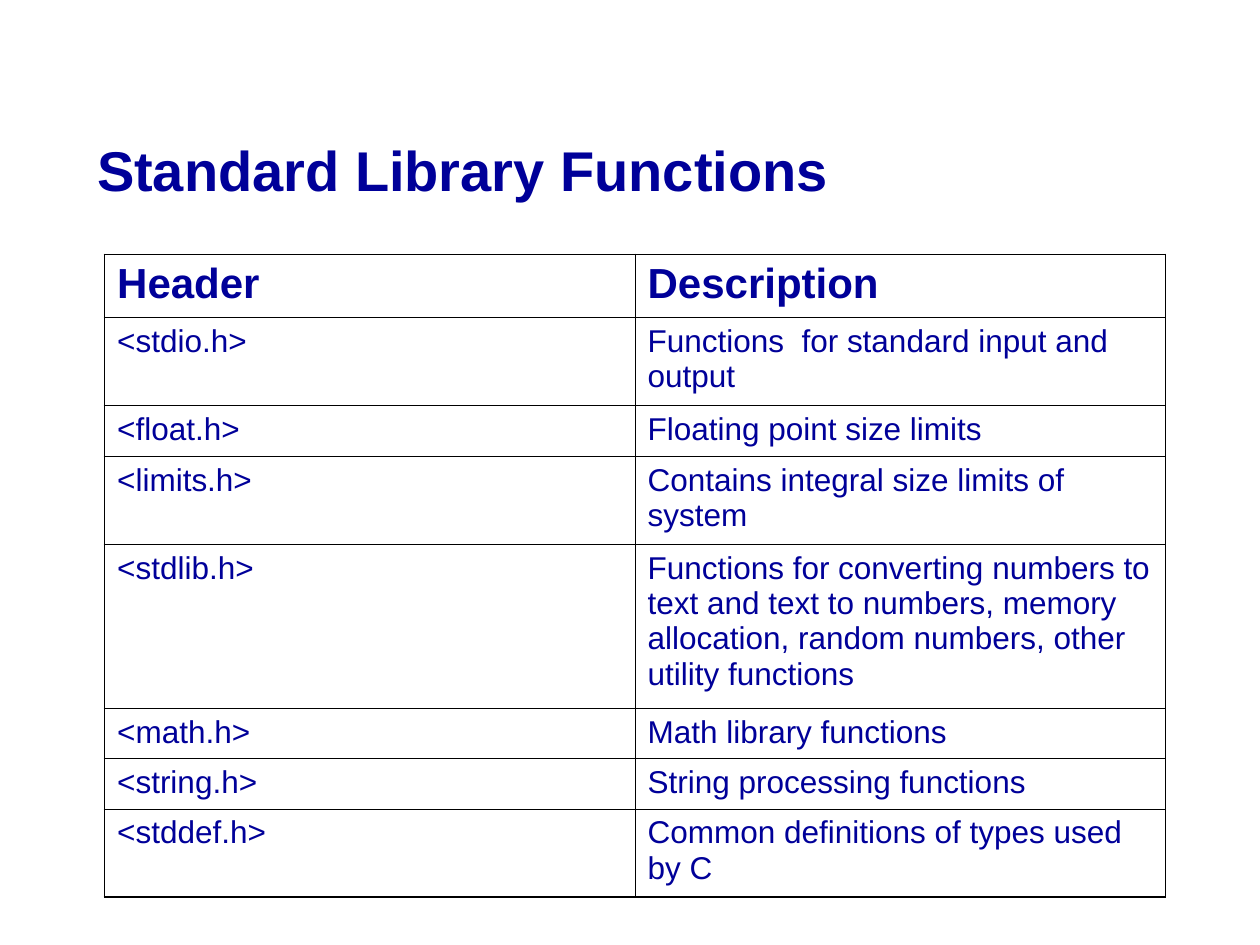
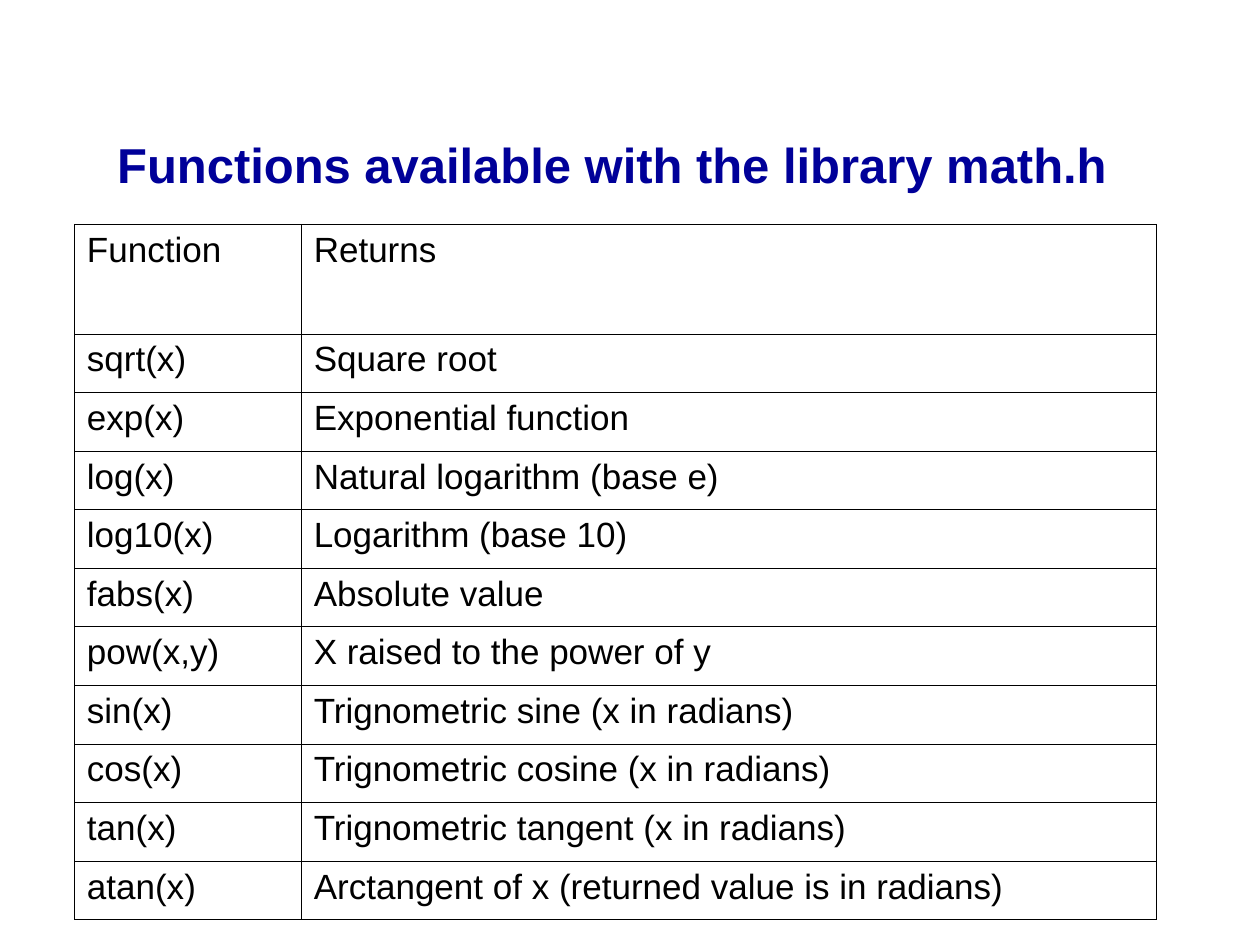
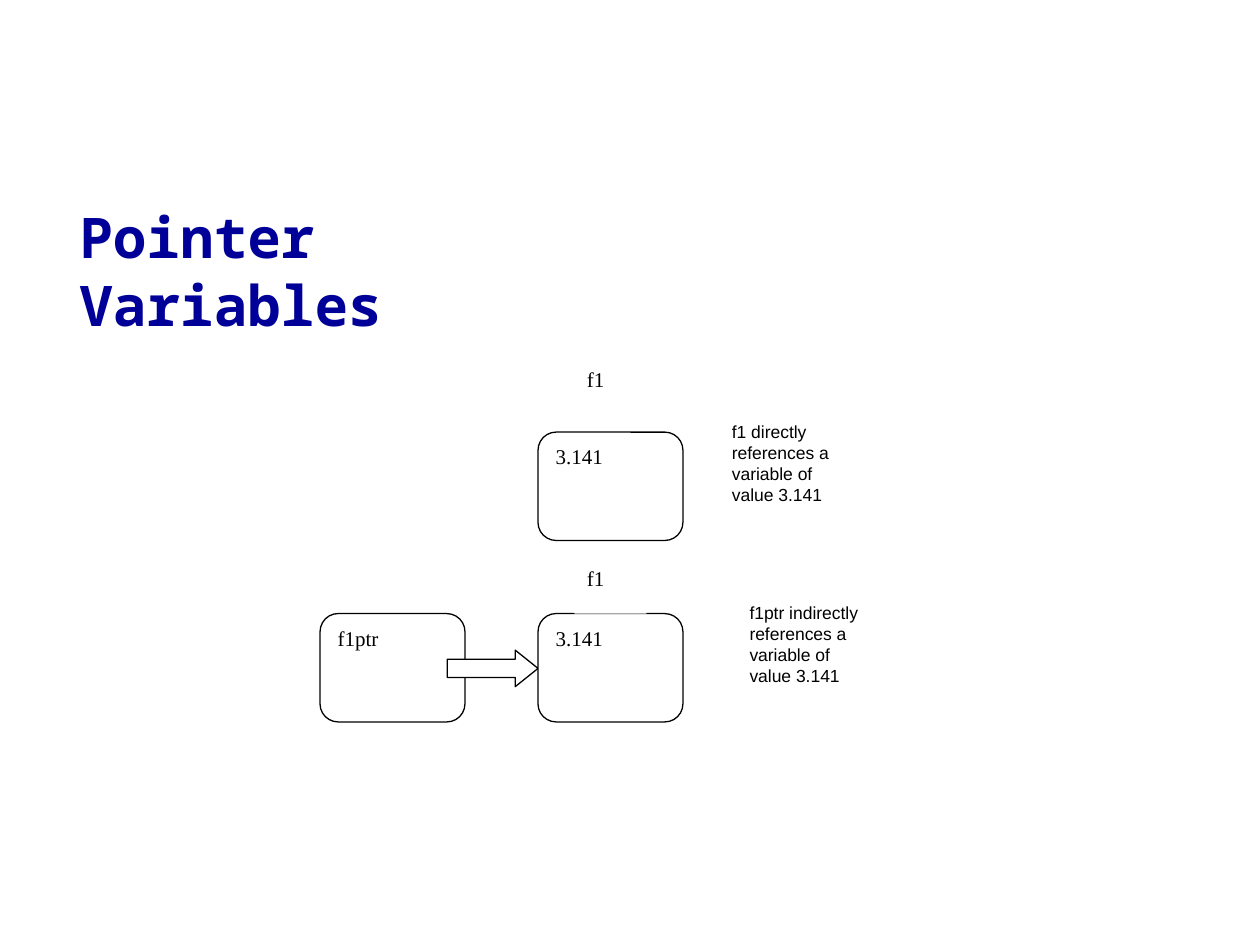
from lxml import etree
from pptx import Presentation
from pptx import util as u
from pptx.dml.color import RGBColor
from pptx.enum import shapes, text
from pptx.oxml.ns import qn

COLORS = {"navy": "000099", "ink": "000000", "paper": "FFFFFF"}
THIN, THICK = 0.45, 1.08


def write(frame, content, size=12, font="Arial", color="ink", bold=False, anchor="TOP"):
    frame.text = content
    frame.word_wrap = True
    frame.auto_size = text.MSO_AUTO_SIZE.NONE
    frame.vertical_anchor = text.MSO_ANCHOR[anchor]
    paragraph = frame.paragraphs[0]
    paragraph.alignment = text.PP_ALIGN.LEFT
    face = paragraph.runs[0].font
    face.size = u.Pt(size)
    face.name = font
    face.bold = bold
    face.color.rgb = RGBColor.from_string(COLORS[color])


def add_grid(slide, rows, place, widths, heights, outer, header, body):
    table = slide.shapes.add_table(len(rows), 2, *map(u.Inches, place)).table
    table.first_row = table.horz_banding = False
    for column, width in zip(table.columns, widths):
        column.width = u.Inches(width)
    for r, (entries, height) in enumerate(zip(rows, heights)):
        table.rows[r].height = u.Inches(height)
        for c, entry in enumerate(entries):
            cell = table.cell(r, c)
            write(cell.text_frame, entry, **(body if r else header))
            edges = {"lnL": c == 0, "lnR": c == 1, "lnT": r == 0, "lnB": r == len(rows) - 1}
            props = cell._tc.get_or_add_tcPr()
            for edge, is_outer in edges.items():
                width = outer if is_outer else THIN
                line = etree.SubElement(props, qn(f"a:{edge}"), w=str(u.Pt(width)))
                fill = etree.SubElement(line, qn("a:solidFill"))
                etree.SubElement(fill, qn("a:srgbClr"), val=COLORS["ink"])
            cell.fill.background()


prs = Presentation()
prs.slide_width, prs.slide_height = u.Inches(10), u.Inches(7.5)

titles = [
    ("Standard Library Functions", (0.67, 1.07, 8.5, 0.55), 32, "Arial", "MIDDLE"),
    ("Functions available with the library math.h", (0.83, 0.91, 8.5, 0.79), 28, "Arial", "MIDDLE"),
    ("Pointer Variables", (0.53, 1.56, 4.02, 0.64), 32, "Noto Sans Mono", "TOP"),
]
slides = []
for heading, place, size, font, anchor in titles:
    slide = prs.slides.add_slide(prs.slide_layouts[5])
    title = slide.shapes.title
    title.left, title.top, title.width, title.height = map(u.Inches, place)
    write(title.text_frame, heading, size=size, font=font, color="navy", bold=True, anchor=anchor)
    slides.append(slide)
library, math_functions, pointers = slides

headers = [
    ("Header", "Description"),
    ("<stdio.h>", "Functions  for standard input and output"),
    ("<float.h>", "Floating point size limits"),
    ("<limits.h>", "Contains integral size limits of system"),
    ("<stdlib.h>", "Functions for converting numbers to text and text to numbers, "
                   "memory allocation, random numbers, other utility functions"),
    ("<math.h>", "Math library functions"),
    ("<string.h>", "String processing functions"),
    ("<stddef.h>", "Common definitions of types used by C"),
]
add_grid(library, headers, (0.83, 2.02, 8.42, 5.1), (4.21, 4.21),
         (0.5, 0.7, 0.4, 0.7, 1.3, 0.4, 0.4, 0.7), THICK,
         dict(size=24, color="navy", bold=True), dict(size=18, color="navy"))

functions = [
    ("Function", "Returns"),
    ("sqrt(x)", "Square root"),
    ("exp(x)", "Exponential function"),
    ("log(x)", "Natural logarithm (base e)"),
    ("log10(x)", "Logarithm (base 10)"),
    ("fabs(x)", "Absolute value"),
    ("pow(x,y)", "X raised to the power of y"),
    ("sin(x)", "Trignometric sine (x in radians)"),
    ("cos(x)", "Trignometric cosine (x in radians)"),
    ("tan(x)", "Trignometric tangent (x in radians)"),
    ("atan(x)", "Arctangent of x (returned value is in radians)"),
]
header_height, table_height = 0.87, 5.52
function_count = len(functions) - 1
function_height = (table_height - header_height) / function_count
add_grid(math_functions, functions, (0.59, 1.78, 8.59, table_height), (1.8, 6.79),
         [header_height] + [function_height] * function_count, THIN,
         dict(size=20), dict(size=20))

BOX, ARROW, LABEL = (shapes.MSO_SHAPE.ROUNDED_RECTANGLE, shapes.MSO_SHAPE.RIGHT_ARROW,
                     shapes.MSO_SHAPE.RECTANGLE)
adjustments = {BOX: [0.167], ARROW: [0.5, 0.624], LABEL: []}
serif, note = dict(size=12, font="Times New Roman"), dict(size=10)
diagram = [
    (BOX, (2.54, 4.87, 1.15, 0.86), "f1ptr", serif),
    (ARROW, (3.55, 5.16, 0.72, 0.29), "", {}),
    (BOX, (4.27, 4.87, 1.15, 0.86), "3.141", serif),
    (LABEL, (4.56, 4.44, 0.57, 0.43), "f1", serif),
    (BOX, (4.27, 3.43, 1.15, 0.86), "3.141", serif),
    (LABEL, (4.56, 2.86, 0.57, 0.43), "f1", serif),
    (LABEL, (5.71, 3.29, 1.15, 1.01), "f1 directly references a variable of value 3.141", note),
    (LABEL, (5.85, 4.73, 1.15, 1.29), "f1ptr indirectly references a variable of value 3.141", note),
]
for kind, place, words, style in diagram:
    part = pointers.shapes.add_shape(kind, *map(u.Inches, place))
    part.shadow.inherit = False
    for i, amount in enumerate(adjustments[kind]):
        part.adjustments[i] = amount
    part.fill.solid()
    part.fill.fore_color.rgb = RGBColor.from_string(COLORS["paper"])
    if kind == LABEL:
        part.line.fill.background()
    else:
        part.line.color.rgb = RGBColor.from_string(COLORS["ink"])
        part.line.width = u.Pt(0.75)
    if words:
        write(part.text_frame, words, **style)

prs.save("out.pptx")
